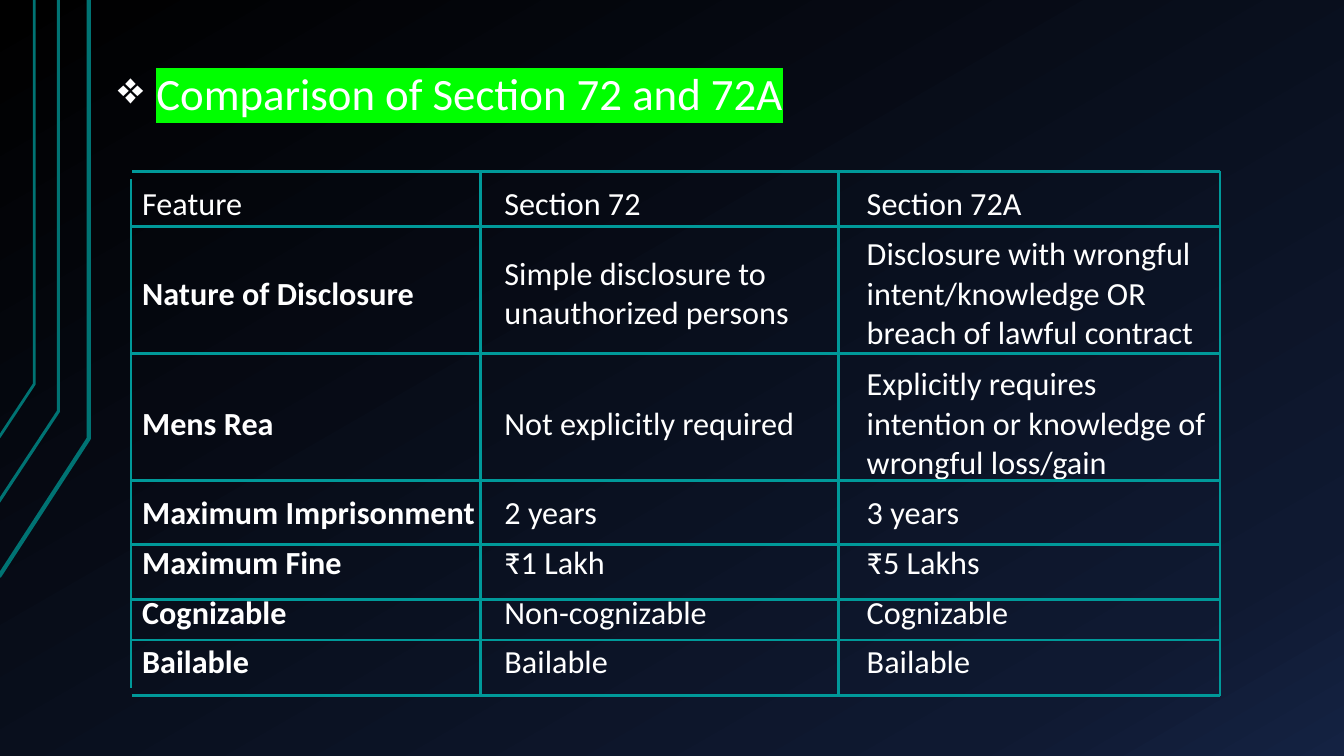
from copy import deepcopy

from lxml import etree
from pptx import Presentation
from pptx.dml.color import RGBColor
from pptx.enum.shapes import MSO_CONNECTOR
from pptx.enum.text import MSO_ANCHOR, PP_ALIGN
from pptx.oxml.ns import qn
from pptx.util import Inches, Pt

STRAIGHT = MSO_CONNECTOR.STRAIGHT
MIDDLE = MSO_ANCHOR.MIDDLE
LEFT = PP_ALIGN.LEFT

WHITE = RGBColor(0xFF, 0xFF, 0xFF)
GREEN = RGBColor(0x00, 0xFF, 0x00)
TEAL = RGBColor(0x00, 0x99, 0x99)
DEEP_TEAL = RGBColor(0x00, 0x73, 0x73)
BACKDROP = [
    (0, RGBColor(0x00, 0x00, 0x00)),
    (0.85, RGBColor(0x0F, 0x19, 0x31)),
    (1, RGBColor(0x14, 0x22, 0x42)),
]
NO_STYLE = "{2D5ABB26-0587-4C30-8999-92F81FD0307C}"

HEADING = "Comparison of Section 72 and 72A"
COMPARISON = [
    ("Feature", "Section 72", "Section 72A"),
    ("Nature of Disclosure", "Simple disclosure to unauthorized persons",
     "Disclosure with wrongful intent/knowledge OR breach of lawful contract"),
    ("Mens Rea", "Not explicitly required",
     "Explicitly requires intention or knowledge of wrongful loss/gain"),
    ("Maximum Imprisonment", "2 years", "3 years"),
    ("Maximum Fine", "₹1 Lakh", "₹5 Lakhs"),
    ("Cognizable", "Non-cognizable", "Cognizable"),
    ("Bailable", "Bailable", "Bailable"),
]
ROW_HEIGHTS = [0.49, 1.29, 1.29] + [0.49] * 4

TRACES = [
    ([(-0.01, 5.72), (0.88, 4.35), (0.88, 0)], 3),
    ([(-0.02, 4.99), (0.58, 4.08), (0.58, 0)], 2.25),
    ([(-0.01, 4.34), (0.34, 3.81), (0.34, 0)], 2),
]
GRID_LEFT, GRID_RIGHT, GRID_TOP, GRID_BOTTOM = 1.31, 12.1, 1.7, 6.9
ROW_RULES = [GRID_TOP, 2.25, 3.51, 4.77, 5.4, 5.95, 6.35, GRID_BOTTOM]
COLUMN_RULES = [4.77, 8.32, GRID_RIGHT]


class ComparisonSlide:
    def __init__(self, deck):
        self.slide = deck.slides.add_slide(deck.slide_layouts[5])
        self.text_format = {"name": "Calibri", "bold": False}

    def add_text(self, paragraph, text, **changes):
        run = paragraph.add_run()
        run.text = text
        for attribute, value in (self.text_format | changes).items():
            setattr(run.font, attribute, value)
        run.font.color.rgb = WHITE
        return run

    def backdrop(self):
        background = self.slide.background
        background.fill.gradient()
        background.fill.gradient_angle = 300
        stop_list = self.slide.element.find(".//" + qn("a:gsLst"))
        stop_list.append(deepcopy(stop_list[-1]))
        for stop, (position, color) in zip(background.fill.gradient_stops, BACKDROP):
            stop.position = position
            stop.color.rgb = color

    def trace(self, points, width):
        corners = [(Inches(x), Inches(y)) for x, y in points]
        builder = self.slide.shapes.build_freeform(*corners[0])
        builder.add_line_segments(corners[1:], close=False)
        outline = builder.convert_to_shape()
        outline.shadow.inherit = False
        outline.fill.background()
        outline.line.color.rgb = DEEP_TEAL
        outline.line.width = Pt(width)

    def title(self, text, left, top, width, height):
        heading = self.slide.shapes.title
        box = {"left": left, "top": top, "width": width, "height": height}
        for attribute, value in box.items():
            setattr(heading, attribute, Inches(value))
        heading.text_frame.vertical_anchor = MIDDLE
        paragraph = heading.text_frame.paragraphs[0]
        paragraph.alignment = LEFT
        run = self.add_text(paragraph, text, size=Pt(32))
        properties = paragraph._p.get_or_add_pPr()
        properties.set("marL", str(Inches(0.38)))
        properties.set("indent", str(-Inches(0.38)))
        etree.SubElement(properties, qn("a:buChar"), char="❖")
        highlight = etree.Element(qn("a:highlight"))
        etree.SubElement(highlight, qn("a:srgbClr"), val=str(GREEN))
        run.font._element.find(qn("a:solidFill")).addnext(highlight)

    def table(self, rows, heights, left, top, width):
        lengths = [Inches(v) for v in (left, top, width, sum(heights))]
        frame = self.slide.shapes.add_table(len(rows), len(rows[0]), *lengths)
        grid = frame.table
        grid.horz_banding = False
        grid._tbl.tblPr.find(qn("a:tableStyleId")).text = NO_STYLE
        for r, (texts, height) in enumerate(zip(rows, heights)):
            grid.rows[r].height = Inches(height)
            for c, text in enumerate(texts):
                cell = grid.cell(r, c)
                cell.fill.background()
                cell.vertical_anchor = MIDDLE
                self.add_text(cell.text_frame.paragraphs[0], text,
                              size=Pt(23), bold=r > 0 and c == 0)

    def rule(self, x1, y1, x2, y2):
        ends = [Inches(v) for v in (x1, y1, x2, y2)]
        line = self.slide.shapes.add_connector(STRAIGHT, *ends)
        line.line.color.rgb = TEAL
        line.line.width = Pt(2)
        etree.SubElement(line._element.spPr, qn("a:effectLst"))


def main():
    deck = Presentation()
    deck.slide_width, deck.slide_height = Inches(13.33), Inches(7.5)
    page = ComparisonSlide(deck)
    page.backdrop()
    for points, width in TRACES:
        page.trace(points, width)
    page.title(HEADING, 1.07, 0.6, 10.32, 0.64)
    page.table(COMPARISON, ROW_HEIGHTS, GRID_LEFT, 1.78, 10.78)
    for y in ROW_RULES:
        page.rule(GRID_LEFT, y, GRID_RIGHT, y)
    page.rule(1.3, 1.78, 1.3, 6.83)
    for x in COLUMN_RULES:
        page.rule(x, GRID_TOP, x, GRID_BOTTOM)
    deck.save("out.pptx")


if __name__ == "__main__":
    main()
